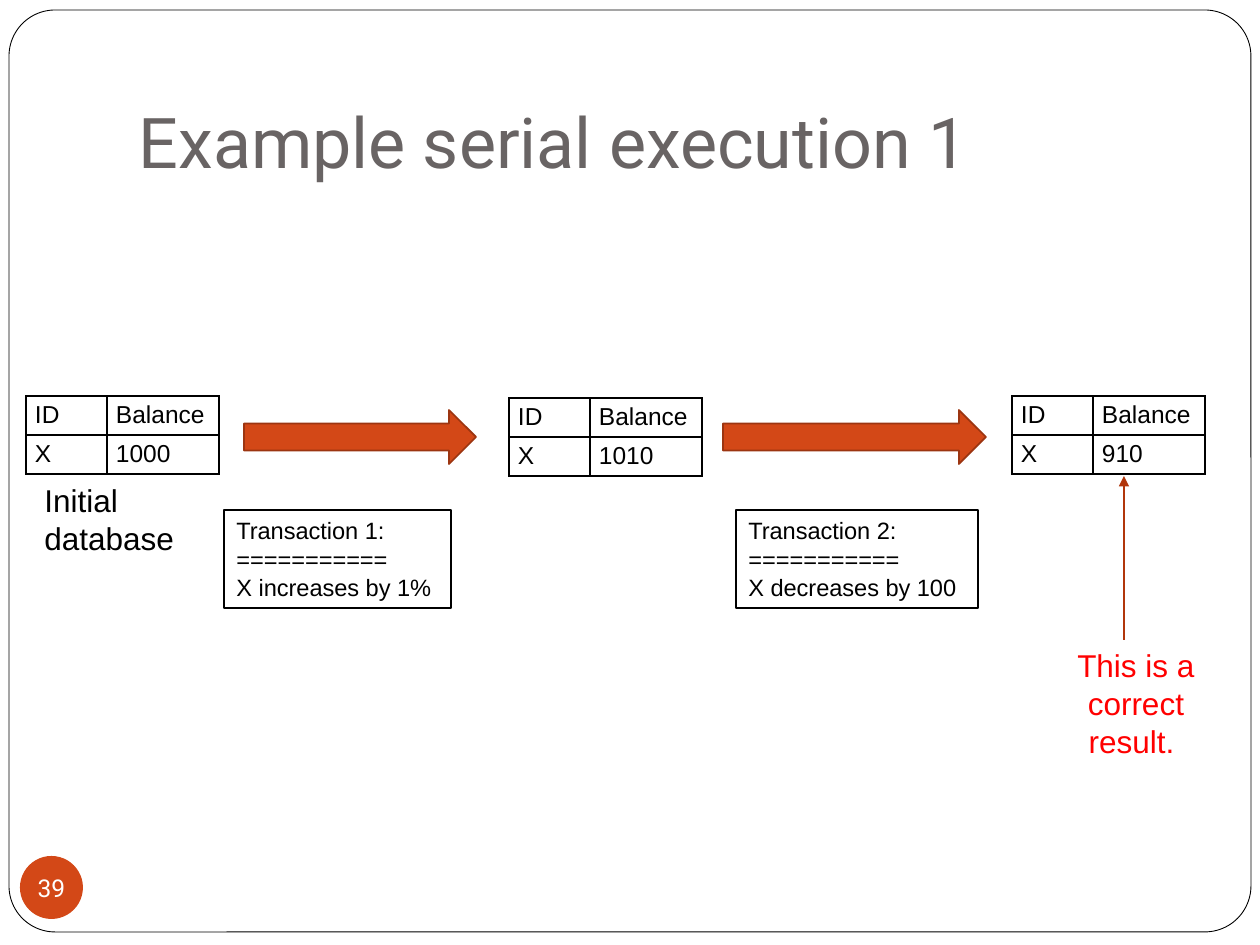
from dataclasses import dataclass
from typing import NamedTuple

from pptx import Presentation
from pptx.dml.color import RGBColor
from pptx.enum.shapes import MSO_CONNECTOR, MSO_SHAPE
from pptx.enum.text import MSO_ANCHOR, MSO_AUTO_SIZE, PP_ALIGN
from pptx.oxml.ns import qn
from pptx.shapes.autoshape import Shape
from pptx.slide import Slide
from pptx.util import Emu, Pt
from lxml.etree import SubElement

PX_PER_INCH = 126


@dataclass(frozen=True)
class Theme:
    heading_font: str = "Roboto"
    body_font: str = "Arial"
    black: str = "000000"
    white: str = "FFFFFF"
    heading: str = "696464"
    accent: str = "D34817"
    accent_edge: str = "9C3511"
    pointer: str = "B1360B"
    result: str = "FF0000"
    title_size: float = 40
    caption_size: float = 18
    small_size: float = 14
    transaction_size: float = 13.5
    thin: float = 0.5
    normal: float = 0.75
    thick: float = 1


class Box(NamedTuple):
    left: int
    top: int
    width: int
    height: int


class Balance(NamedTuple):
    left: int
    top: int
    amount: str


class Transaction(NamedTuple):
    box: Box
    arrow: Box
    name: str
    effect: str


class Caption(NamedTuple):
    box: Box
    text: str
    color: str
    align: PP_ALIGN


THEME = Theme()
COLUMN_WIDTHS = (81, 112)
ROW_HEIGHT = 39
BALANCES = (
    Balance(26, 396, "1000"),
    Balance(509, 398, "1010"),
    Balance(1012, 396, "910"),
)
TRANSACTIONS = (
    Transaction(Box(224, 510, 227, 98), Box(244, 410, 232, 54),
                "Transaction 1:", "X increases by 1%"),
    Transaction(Box(736, 510, 242, 98), Box(723, 410, 263, 54),
                "Transaction 2:", "X decreases by 100"),
)
CAPTIONS = (
    Caption(Box(32, 475, 193, 89), "Initial database", THEME.black, PP_ALIGN.LEFT),
    Caption(Box(1053, 640, 166, 127), "This is a correct result. ", THEME.result,
            PP_ALIGN.CENTER),
)


def px(length: int) -> Emu:
    return Emu(round(length * 914400 / PX_PER_INCH))


def emu_box(box: Box) -> list[Emu]:
    return [px(length) for length in box]


def rgb(color: str) -> RGBColor:
    return RGBColor.from_string(color)


def write(frame, text: str, size: float, color: str, font: str = THEME.body_font,
          align: PP_ALIGN = PP_ALIGN.LEFT) -> None:
    frame.text = text
    for paragraph in frame.paragraphs:
        paragraph.alignment = align
        paragraph.font.name = font
        paragraph.font.size = Pt(size)
        paragraph.font.color.rgb = rgb(color)


def add_shape(slide: Slide, kind: MSO_SHAPE, box: Box, fill: str | None = None,
              edge: str | None = None, edge_width: float = THEME.normal) -> Shape:
    shape = slide.shapes.add_shape(kind, *emu_box(box))
    shape.shadow.inherit = False
    if fill:
        shape.fill.solid()
        shape.fill.fore_color.rgb = rgb(fill)
    else:
        shape.fill.background()
    if edge:
        shape.line.color.rgb = rgb(edge)
        shape.line.width = Pt(edge_width)
    else:
        shape.line.fill.background()
    return shape


def add_frame(slide: Slide) -> None:
    """Draw the rounded slide border behind everything else."""
    frame = add_shape(slide, MSO_SHAPE.ROUNDED_RECTANGLE, Box(9, 10, 1242, 922),
                      THEME.white, THEME.black, THEME.thin)
    frame.adjustments[0] = 0.05
    slide.shapes.title.element.addprevious(frame.element)


def set_title(slide: Slide, text: str) -> None:
    title = slide.shapes.title
    title.left, title.top, title.width, title.height = emu_box(Box(126, 38, 1071, 158))
    frame = title.text_frame
    frame.auto_size = MSO_AUTO_SIZE.NONE
    frame.vertical_anchor = MSO_ANCHOR.BOTTOM
    frame.margin_bottom = px(13)
    write(frame, text, THEME.title_size, THEME.heading, THEME.heading_font)


def add_page_number(slide: Slide, number: str) -> None:
    badge = add_shape(slide, MSO_SHAPE.OVAL, Box(20, 856, 63, 63), THEME.accent)
    frame = badge.text_frame
    frame.margin_left = frame.margin_right = frame.margin_top = frame.margin_bottom = 0
    frame.word_wrap = False
    frame.vertical_anchor = MSO_ANCHOR.MIDDLE
    write(frame, number, THEME.small_size, THEME.white, THEME.heading_font,
          PP_ALIGN.CENTER)


def add_cell_borders(cell) -> None:
    properties = cell._tc.get_or_add_tcPr()
    for side in ("a:lnL", "a:lnR", "a:lnT", "a:lnB"):
        border = SubElement(properties, qn(side), w=str(Pt(THEME.thick)))
        fill = SubElement(border, qn("a:solidFill"))
        SubElement(fill, qn("a:srgbClr"), val=THEME.black)


def add_balance_table(slide: Slide, balance: Balance) -> None:
    rows = (("ID", "Balance"), ("X", balance.amount))
    box = Box(balance.left, balance.top, sum(COLUMN_WIDTHS), ROW_HEIGHT * len(rows))
    table = slide.shapes.add_table(len(rows), len(COLUMN_WIDTHS), *emu_box(box)).table
    table.first_row = table.horz_banding = False
    for column, width in zip(table.columns, COLUMN_WIDTHS):
        column.width = px(width)
    for r, row in enumerate(rows):
        for c, text in enumerate(row):
            cell = table.cell(r, c)
            cell.margin_left = cell.margin_right = px(9)
            cell.margin_top = cell.margin_bottom = px(5)
            add_cell_borders(cell)
            cell.fill.background()
            write(cell.text_frame, text, THEME.small_size, THEME.black)


def add_transaction(slide: Slide, transaction: Transaction) -> None:
    note = add_shape(slide, MSO_SHAPE.RECTANGLE, transaction.box, edge=THEME.black)
    frame = note.text_frame
    frame.word_wrap = True
    frame.auto_size = MSO_AUTO_SIZE.SHAPE_TO_FIT_TEXT
    frame.vertical_anchor = MSO_ANCHOR.TOP
    lines = (transaction.name, "=" * 11, transaction.effect)
    write(frame, "\n".join(lines), THEME.transaction_size, THEME.black)
    add_shape(slide, MSO_SHAPE.RIGHT_ARROW, transaction.arrow, THEME.accent,
              THEME.accent_edge, THEME.thick)


def add_caption(slide: Slide, caption: Caption) -> None:
    frame = slide.shapes.add_textbox(*emu_box(caption.box)).text_frame
    frame.word_wrap = True
    frame.auto_size = MSO_AUTO_SIZE.SHAPE_TO_FIT_TEXT
    write(frame, caption.text, THEME.caption_size, caption.color, align=caption.align)


def add_result_pointer(slide: Slide) -> None:
    x, start, end = px(1124), px(640), px(476)
    pointer = slide.shapes.add_connector(MSO_CONNECTOR.STRAIGHT, x, start, x, end)
    pointer.line.color.rgb = rgb(THEME.pointer)
    pointer.line.width = Pt(THEME.normal)
    SubElement(pointer.line._get_or_add_ln(), qn("a:tailEnd"), type="triangle")
    SubElement(pointer.element.spPr, qn("a:effectLst"))


def main() -> None:
    presentation = Presentation()
    presentation.slide_width, presentation.slide_height = px(1260), px(945)
    slide = presentation.slides.add_slide(presentation.slide_layouts.get_by_name("Title Only"))
    add_frame(slide)
    set_title(slide, "Example serial execution 1")
    add_page_number(slide, "39")
    for balance in BALANCES:
        add_balance_table(slide, balance)
    for transaction in TRANSACTIONS:
        add_transaction(slide, transaction)
    for caption in CAPTIONS:
        add_caption(slide, caption)
    add_result_pointer(slide)
    presentation.save("out.pptx")


if __name__ == "__main__":
    main()
